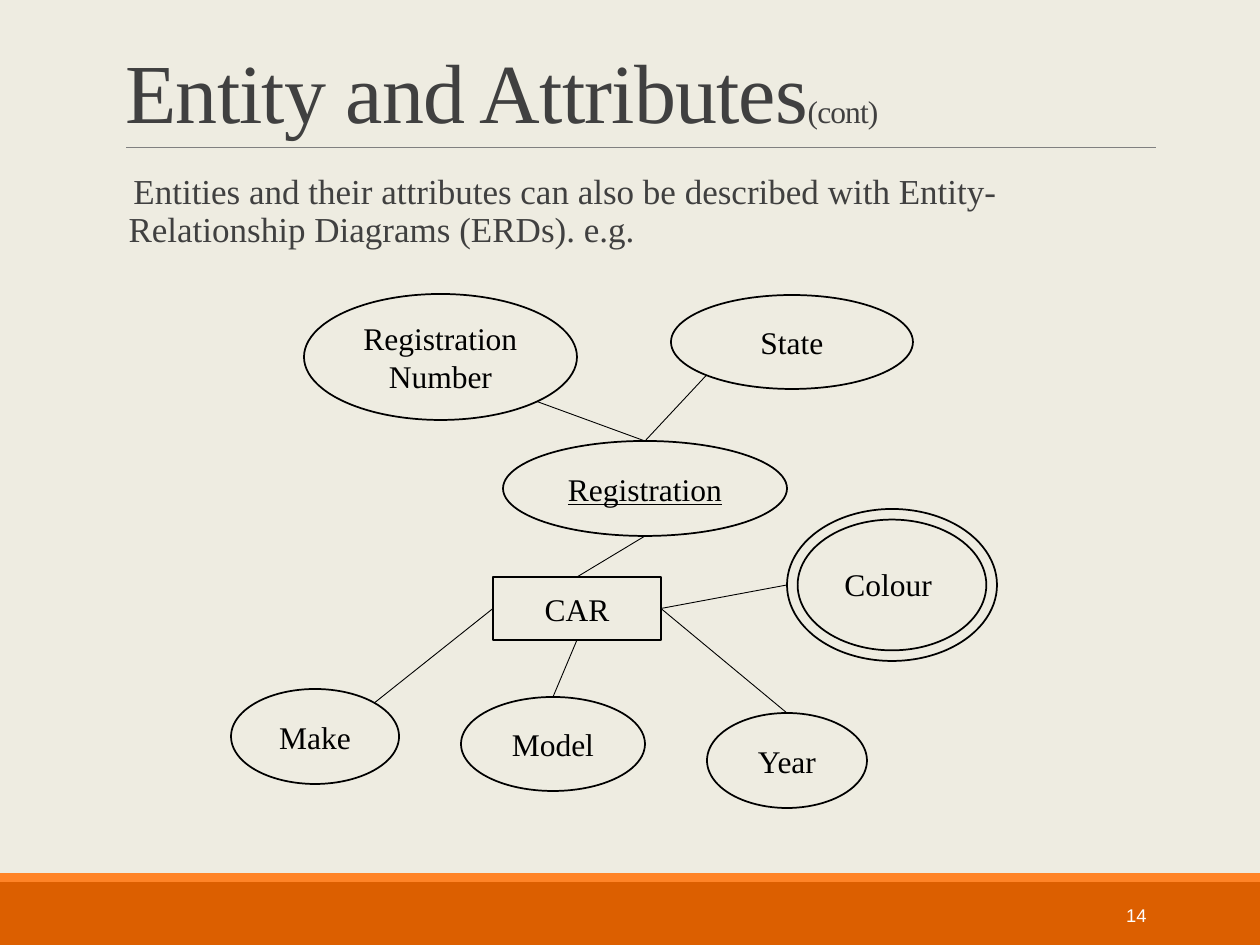
"""Build a slide with an entity-relationship diagram of a car and its attributes."""
import dataclasses
import math

import lxml.etree
import pptx
import pptx.dml.color
import pptx.enum.shapes
import pptx.enum.text
import pptx.oxml.ns
import pptx.util

PX = 914400 / 126
ALIGN = pptx.enum.text.PP_ALIGN
ANCHOR = pptx.enum.text.MSO_ANCHOR
SHAPE = pptx.enum.shapes.MSO_SHAPE
DIAGONAL = math.sqrt(0.5) / 2
TOP, BOTTOM, LEFT, RIGHT = (0, -0.5), (0, 0.5), (-0.5, 0), (0.5, 0)
TOP_RIGHT = (DIAGONAL, -DIAGONAL)
BOTTOM_LEFT = (-DIAGONAL, DIAGONAL)
BOTTOM_RIGHT = (DIAGONAL, DIAGONAL)


@dataclasses.dataclass(frozen=True)
class Theme:
    background: str = "EEECE1"
    footer: str = "DC5F00"
    accent: str = "FF8427"
    rule: str = "808080"
    heading: str = "404040"
    ink: str = "000000"
    light: str = "FFFFFF"
    bullet: str = "E84C22"
    serif: str = "Times New Roman"
    sans: str = "Arial"
    title_size: float = 48
    body_size: float = 20
    label_size: float = 18
    number_size: float = 10.5
    outline: float = 1
    hairline: float = 0.5


THEME = Theme()


def px(*lengths):
    return [pptx.util.Emu(round(length * PX)) for length in lengths]


def rgb(code):
    return pptx.dml.color.RGBColor.from_string(code)


def write(box, text, size=THEME.label_size, color=THEME.ink, font=THEME.serif,
          align=ALIGN.LEFT, anchor=ANCHOR.TOP, underline=None, spacing=None,
          tracking=None, extend=False):
    frame = box.text_frame
    frame.word_wrap = True
    frame.auto_size = pptx.enum.text.MSO_AUTO_SIZE.NONE
    frame.vertical_anchor = anchor
    for index, line in enumerate(text.split("\n")):
        paragraph = frame.add_paragraph() if index else frame.paragraphs[-1]
        if not extend:
            paragraph.alignment = align
            paragraph.line_spacing = spacing
        run = paragraph.add_run()
        run.text = line
        run.font.size = pptx.util.Pt(size)
        run.font.name = font
        run.font.underline = underline
        run.font.color.rgb = rgb(color)
        if tracking is not None:
            run.font._element.set("spc", str(round(tracking * 100)))
    return frame


def add_bar(shapes, color, *area):
    bar = shapes.add_shape(SHAPE.RECTANGLE, *px(*area))
    bar.shadow.inherit = False
    bar.fill.solid()
    bar.fill.fore_color.rgb = rgb(color)
    bar.line.fill.background()


def add_node(shapes, kind, area, label="", underline=None):
    node = shapes.add_shape(kind, *px(*area))
    node.shadow.inherit = False
    node.fill.background()
    node.line.color.rgb = rgb(THEME.ink)
    node.line.width = pptx.util.Pt(THEME.outline)
    if label:
        write(node, label, align=ALIGN.CENTER, anchor=ANCHOR.MIDDLE,
              underline=underline)
    return node


def add_line(shapes, start, end, color=THEME.ink):
    line = shapes.add_connector(pptx.enum.shapes.MSO_CONNECTOR.STRAIGHT, *start, *end)
    line.line.color.rgb = rgb(color)
    line.line.width = pptx.util.Pt(THEME.hairline)
    lxml.etree.SubElement(line._element.spPr, pptx.oxml.ns.qn("a:effectLst"))


def edge_point(node, side):
    return (round(node.left + node.width * (0.5 + side[0])),
            round(node.top + node.height * (0.5 + side[1])))


def add_bullet(paragraph):
    properties = paragraph._p.get_or_add_pPr()
    indent = pptx.util.Inches(0.1)
    properties.set("marL", str(indent))
    properties.set("indent", str(-indent))
    qn = pptx.oxml.ns.qn
    color = lxml.etree.SubElement(properties, qn("a:buClr"))
    lxml.etree.SubElement(color, qn("a:srgbClr"), val=THEME.bullet)
    lxml.etree.SubElement(properties, qn("a:buChar"), char=" ")


def add_title(slide):
    title = slide.shapes.title
    title.left, title.top, title.width, title.height = px(113, 29, 1040, 118)
    look = dict(color=THEME.heading, anchor=ANCHOR.BOTTOM, spacing=0.85, tracking=-0.5)
    write(title, "Entity and Attributes", size=THEME.title_size, **look)
    write(title, "(cont)", extend=True, **look)


def add_body(shapes):
    body = shapes.add_textbox(*px(116, 168, 1040, 649))
    frame = write(body, "Entities and their attributes can also be described with "
                  "Entity-Relationship Diagrams (ERDs). e.g.",
                  size=THEME.body_size, color=THEME.heading, spacing=0.9)
    frame.margin_left = frame.margin_right = 0
    paragraph = frame.paragraphs[0]
    paragraph.space_before = pptx.util.Pt(12)
    paragraph.space_after = pptx.util.Pt(2)
    add_bullet(paragraph)


def add_diagram(shapes):
    oval = SHAPE.OVAL
    number = add_node(shapes, oval, (304, 294, 273, 126), "Registration\nNumber")
    registration = add_node(shapes, oval, (503, 441, 284, 95), "Registration", True)
    state = add_node(shapes, oval, (671, 295, 242, 94), "State")
    make = add_node(shapes, oval, (231, 689, 168, 95), "Make")
    model = add_node(shapes, oval, (461, 697, 184, 94), "Model")
    year = add_node(shapes, oval, (707, 713, 160, 95), "Year")
    colour = add_node(shapes, SHAPE.DONUT, (787, 509, 210, 152))
    colour.adjustments[0] = 0.07
    write(shapes.add_textbox(*px(832, 559, 121, 50)), "Colour")
    car = add_node(shapes, SHAPE.RECTANGLE, (493, 577, 168, 63), "CAR")

    for start, start_side, end, end_side in (
        (state, BOTTOM_LEFT, registration, TOP),
        (number, BOTTOM_RIGHT, registration, TOP),
        (registration, BOTTOM, car, TOP),
        (car, LEFT, make, TOP_RIGHT),
        (car, BOTTOM, model, TOP),
        (car, RIGHT, year, TOP),
        (car, RIGHT, colour, LEFT),
    ):
        add_line(shapes, edge_point(start, start_side), edge_point(end, end_side))


def main():
    deck = pptx.Presentation()
    deck.slide_width, deck.slide_height = px(1260, 945)
    slide = deck.slides.add_slide(deck.slide_layouts[5])
    slide.background.fill.solid()
    slide.background.fill.fore_color.rgb = rgb(THEME.background)
    shapes = slide.shapes
    add_bar(shapes, THEME.footer, 0, 882, 1260, 63)
    add_bar(shapes, THEME.accent, 0, 873, 1260, 9)
    add_line(shapes, px(126, 147), px(1156, 147), THEME.rule)
    add_title(slide)
    add_body(shapes)
    write(shapes.add_textbox(*px(1023, 890, 136, 50)), "14", size=THEME.number_size,
          color=THEME.light, font=THEME.sans, align=ALIGN.RIGHT, anchor=ANCHOR.MIDDLE)
    add_diagram(shapes.add_group_shape().shapes)
    deck.save("out.pptx")


main()
